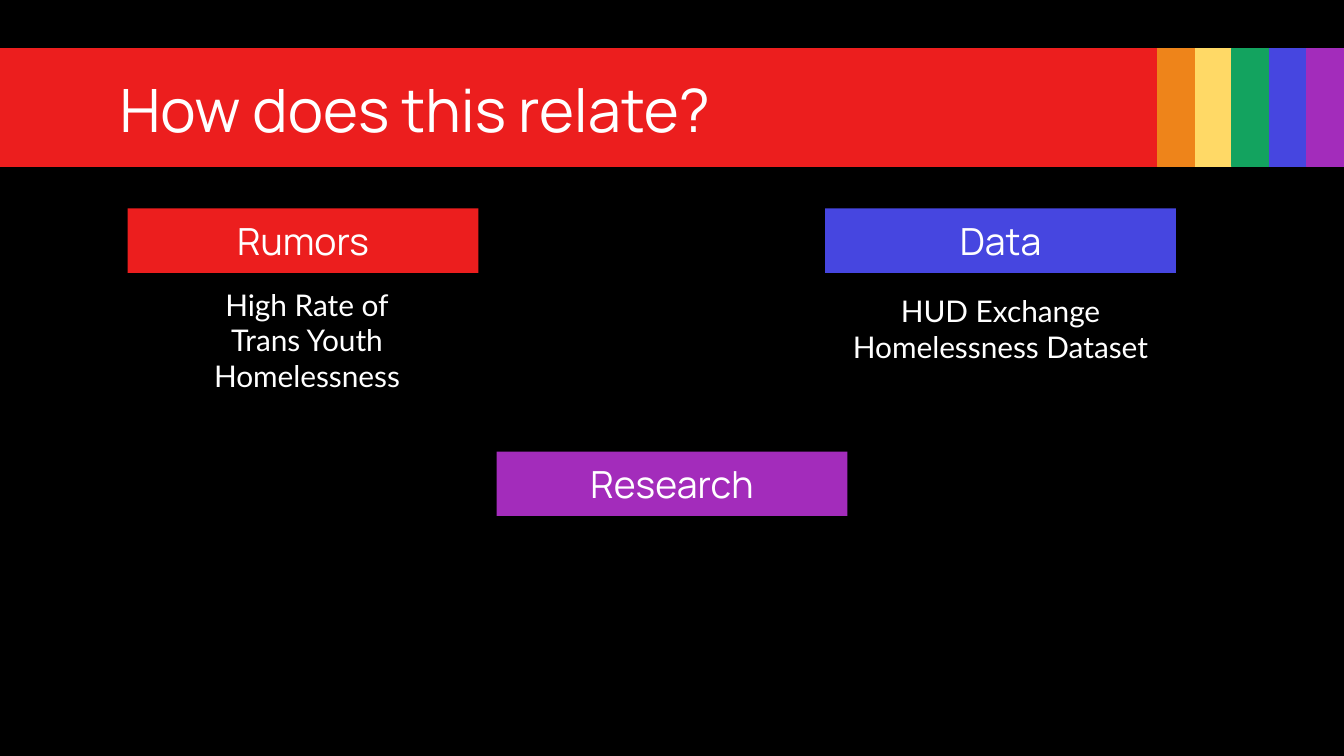
import pptx
import pptx.dml.color
import pptx.enum.shapes
import pptx.enum.text
import pptx.util

COLORS = {
    "black": "000000", "white": "FFFFFF", "red": "EC1E1E", "orange": "EE841A",
    "yellow": "FFD966", "green": "13A35F", "blue": "4646E0", "purple": "A32CBB",
}
WIDTH = 10
HEIGHT = WIDTH * 9 / 16
COLUMN = WIDTH / 36  # one rainbow stripe is one column wide
INCH = pptx.util.Inches
ALIGN = pptx.enum.text.PP_ALIGN
ANCHOR = pptx.enum.text.MSO_ANCHOR
RECTANGLE = pptx.enum.shapes.MSO_SHAPE.RECTANGLE


def rgb(name):
    return pptx.dml.color.RGBColor.from_string(COLORS[name])


def write(shape, lines, font="Manrope", size=20, align=ALIGN.CENTER, anchor=ANCHOR.MIDDLE):
    """Fill a shape with one white paragraph per line."""
    frame = shape.text_frame
    frame.text = "\n".join(lines)
    frame.word_wrap = True
    frame.auto_size = pptx.enum.text.MSO_AUTO_SIZE.NONE
    frame.vertical_anchor = anchor
    frame.margin_left = frame.margin_right = INCH(0.1)
    frame.margin_top = frame.margin_bottom = INCH(0.1)
    for paragraph in frame.paragraphs:
        paragraph.alignment = align
        paragraph.line_spacing = 1.0
        paragraph.space_before = pptx.util.Pt(0)
        for run in paragraph.runs:
            run.font.name = font
            run.font.size = pptx.util.Pt(size)
            run.font.color.rgb = rgb("white")


deck = pptx.Presentation()
deck.slide_width, deck.slide_height = INCH(WIDTH), INCH(HEIGHT)
slide = deck.slides.add_slide(deck.slide_layouts[5])
slide.background.fill.solid()
slide.background.fill.fore_color.rgb = rgb("black")

# Rainbow band: a wide red bar, then one-column stripes; orange overlaps its neighbours
band_top, band_height = 0.36, 0.88
for color, column, span in [("red", 0, 31), ("yellow", 32, 1), ("green", 33, 1),
                            ("blue", 34, 1), ("purple", 35, 1), ("orange", 31, 1)]:
    stripe = slide.shapes.add_shape(
        RECTANGLE, INCH(column * COLUMN), INCH(band_top),
        INCH(span * COLUMN), INCH(band_height))
    stripe.shadow.inherit = False
    stripe.fill.solid()
    stripe.fill.fore_color.rgb = rgb(color)
    stripe.line.color.rgb = rgb(color)
    stripe.line.width = pptx.util.Pt(0.75)

# The title lies on top of the band
title = slide.shapes.title
title.element.getparent().append(title.element)
title.left, title.top = INCH(0.79), INCH(0.49)
title.width, title.height = INCH(8.43), INCH(0.63)
write(title, ["How does this relate?"], size=32, align=ALIGN.LEFT)

topic_width, topic_height = 2.61, 0.48
upper_row, lower_row = 1.55, 3.36
rumors_left, data_left = 0.95, 6.14

# Details under the upper headings
for lines, left, top, height in [
    (["High Rate of", "Trans Youth Homelessness"], 0.98, 2.03, 0.9),
    (["HUD Exchange", "Homelessness Dataset"], data_left, 2.08, 0.79),
]:
    detail = slide.shapes.add_textbox(
        INCH(left), INCH(top), INCH(topic_width), INCH(height))
    write(detail, lines, font="Lato", size=16, anchor=ANCHOR.TOP)

# Topic headings
for topic, color, left, top in [
    ("Data", "blue", data_left, upper_row),
    ("Rumors", "red", rumors_left, upper_row),
    ("Research", "purple", (WIDTH - topic_width) / 2, lower_row),
]:
    heading = slide.shapes.add_shape(
        RECTANGLE, INCH(left), INCH(top), INCH(topic_width), INCH(topic_height))
    heading.shadow.inherit = False
    heading.fill.solid()
    heading.fill.fore_color.rgb = rgb(color)
    heading.line.fill.background()
    write(heading, [topic])

deck.save("out.pptx")
